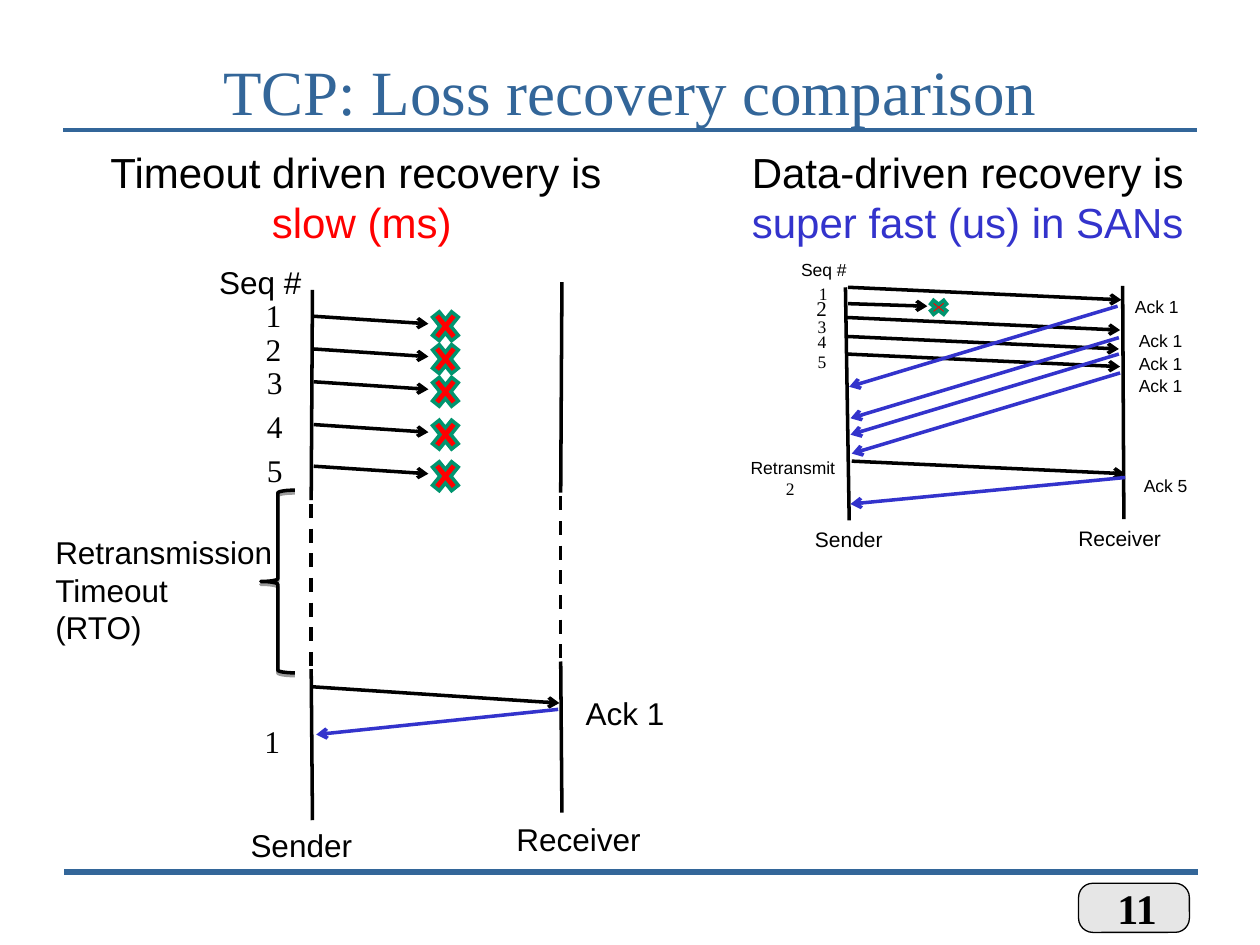
from dataclasses import dataclass
from typing import NamedTuple

from lxml import etree
from pptx import Presentation
from pptx.dml.color import RGBColor
from pptx.enum.dml import MSO_LINE
from pptx.enum.shapes import MSO_CONNECTOR, MSO_SHAPE
from pptx.enum.text import MSO_ANCHOR, MSO_AUTO_SIZE, PP_ALIGN
from pptx.oxml import parse_xml
from pptx.oxml.ns import nsdecls, qn
from pptx.util import Inches, Pt

STRAIGHT = MSO_CONNECTOR.STRAIGHT
DASH = MSO_LINE.DASH
CROSS = MSO_SHAPE.MATH_MULTIPLY
BRACE = MSO_SHAPE.LEFT_BRACE
ROUNDED = MSO_SHAPE.ROUNDED_RECTANGLE
LEFT, CENTER = PP_ALIGN.LEFT, PP_ALIGN.CENTER
MIDDLE = MSO_ANCHOR.MIDDLE
FIT_SHAPE, NO_FIT = MSO_AUTO_SIZE.SHAPE_TO_FIT_TEXT, MSO_AUTO_SIZE.NONE


@dataclass(frozen=True)
class Theme:
    sans: str = "Arial"
    serif: str = "Times New Roman"
    ink: str = "000000"
    accent: str = "336699"
    ack: str = "3333CC"
    loss: str = "FF0000"
    loss_edge: str = "00956F"
    badge: str = "E6E6E6"
    title: int = 36
    heading: int = 24
    label: int = 18
    mid: int = 12
    small: int = 10
    stroke: float = 2


THEME = Theme()


class Frame(NamedTuple):
    left: float
    top: float
    width: float
    height: float

    def lengths(self) -> list:
        return [Inches(value) for value in self]


class Line(NamedTuple):
    start: tuple
    end: tuple


class Words(NamedTuple):
    text: str
    color: str = THEME.ink
    font: str = THEME.sans
    indent: float = 0


class Label(NamedTuple):
    text: str
    frame: Frame
    size: int
    font: str = THEME.sans


def write(text_frame, paragraphs: list, *, size: int, align=LEFT, bold=False) -> None:
    for index, words in enumerate(paragraphs):
        paragraph = text_frame.paragraphs[0] if index == 0 else text_frame.add_paragraph()
        paragraph.alignment = align
        if words.indent:
            paragraph._p.get_or_add_pPr().set("marL", str(Inches(words.indent)))
        run = paragraph.add_run()
        run.text = words.text
        run.font.name = words.font
        run.font.size = Pt(size)
        run.font.bold = bold
        run.font.color.rgb = RGBColor.from_string(words.color)


def add_text(slide, frame: Frame, paragraphs: list, *, wrap=False, fit=FIT_SHAPE,
             insets=(0.1, 0), **style):
    text_frame = slide.shapes.add_textbox(*frame.lengths()).text_frame
    text_frame.word_wrap = wrap
    text_frame.auto_size = fit
    text_frame.margin_left, text_frame.margin_right = [Inches(inset) for inset in insets]
    write(text_frame, paragraphs, **style)
    return text_frame


def add_label(slide, label: Label) -> None:
    add_text(slide, label.frame, [Words(label.text, font=label.font)], size=label.size)


def add_line(slide, line: Line, *, color=THEME.ink, width=THEME.stroke, arrow=False, dash=None) -> None:
    ends = [Inches(value) for value in line.start + line.end]
    connector = slide.shapes.add_connector(STRAIGHT, *ends)
    connector.line.color.rgb = RGBColor.from_string(color)
    connector.line.width = Pt(width)
    if dash is not None:
        connector.line.dash_style = dash
    if arrow:
        etree.SubElement(connector.line._get_or_add_ln(), qn("a:tailEnd"), type="arrow")
    etree.SubElement(connector._element.spPr, qn("a:effectLst"))


def add_preset(slide, preset, frame: Frame, *, fill=None, edge=THEME.ink, width=THEME.stroke):
    shape = slide.shapes.add_shape(preset, *frame.lengths())
    shape.shadow.inherit = False
    if fill:
        shape.fill.solid()
        shape.fill.fore_color.rgb = RGBColor.from_string(fill)
    else:
        shape.fill.background()
    shape.line.color.rgb = RGBColor.from_string(edge)
    shape.line.width = Pt(width)
    return shape


def add_loss(slide, frame: Frame) -> None:
    cross = add_preset(slide, CROSS, frame, fill=THEME.loss, edge=THEME.loss_edge)
    etree.SubElement(cross.line._get_or_add_ln(), qn("a:miter"), lim="800000")


def add_timeout_brace(slide) -> None:
    brace = add_preset(slide, BRACE, Frame(2.07, 3.89, 0.27, 1.45))
    brace._element.spPr.find(qn("a:effectLst")).append(parse_xml(
        f'<a:outerShdw {nsdecls("a")} blurRad="0" dist="{Pt(1.6)}" dir="5400000" rotWithShape="0">'
        f'<a:srgbClr val="{THEME.ink}"><a:alpha val="38000"/></a:srgbClr></a:outerShdw>'))


def add_furniture(slide) -> None:
    add_line(slide, Line((0.5, 1.03), (9.5, 1.03)), color=THEME.accent)
    add_line(slide, Line((0.51, 6.92), (9.51, 6.92)), color=THEME.accent, width=3.5)
    badge = add_preset(slide, ROUNDED, Frame(8.56, 7.01, 0.88, 0.39), fill=THEME.badge, width=0.75)
    badge.adjustments[0] = 0.29
    number = add_text(slide, Frame(8.38, 7, 1.29, 0.38), [Words("11", font=THEME.serif)],
                      size=THEME.heading, align=CENTER, bold=True, wrap=True, fit=NO_FIT,
                      insets=(0.1, 0.1))
    number.paragraphs[0].line_spacing = 0.9

    title = slide.shapes.title
    title.left, title.top, title.width, title.height = Frame(0.75, 0.34, 8.5, 0.75).lengths()
    title.text_frame.vertical_anchor = MIDDLE
    title.text_frame.auto_size = NO_FIT
    write(title.text_frame, [Words("TCP: Loss recovery comparison", THEME.accent, THEME.serif)],
          size=THEME.title, align=CENTER)


def add_data_driven(slide) -> None:
    for timeline in (Line((6.71, 2.28), (6.74, 4.13)), Line((8.91, 2.27), (8.92, 4.12))):
        add_line(slide, timeline)
    for x, y in ((6.73, 2.28), (6.72, 2.52), (6.71, 2.67), (6.72, 2.81), (6.76, 3.66)):
        add_line(slide, Line((x, y), (x + 2.17, y + 0.1)), arrow=True)
    add_line(slide, Line((6.73, 2.41), (7.36, 2.43)), arrow=True)
    add_loss(slide, Frame(7.35, 2.36, 0.2, 0.16))
    for x, y in ((8.87, 2.43), (8.88, 2.68), (8.88, 2.81), (8.89, 2.96)):
        add_line(slide, Line((x, y), (x - 2.13, y + 0.64)), color=THEME.ack, arrow=True)
    add_line(slide, Line((8.93, 3.79), (6.75, 4)), color=THEME.ack, arrow=True)

    for text, x, y in (("1", 6.4, 2.2), ("3", 6.39, 2.46), ("4", 6.39, 2.58), ("5", 6.39, 2.74)):
        add_label(slide, Label(text, Frame(x, y, 0.27, 0.27), THEME.small, THEME.serif))
    for text, x, y in (("Ack 1", 8.91, 2.3), ("Ack 1", 8.94, 2.57), ("Ack 1", 8.94, 2.75),
                       ("Ack 1", 8.94, 2.93), ("Ack 5", 8.98, 3.72)):
        add_label(slide, Label(text, Frame(x, y, 0.54, 0.27), THEME.small))
    for label in (Label("2", Frame(6.38, 2.3, 0.28, 0.3), THEME.mid, THEME.serif),
                  Label("Seq #", Frame(6.26, 2.01, 0.56, 0.27), THEME.small),
                  Label("Sender", Frame(6.37, 4.13, 0.74, 0.3), THEME.mid),
                  Label("Receiver", Frame(8.46, 4.12, 0.86, 0.3), THEME.mid)):
        add_label(slide, label)
    add_text(slide, Frame(5.86, 3.58, 0.87, 0.44),
             [Words("Retransmit"), Words("2", font=THEME.serif, indent=0.28)], size=THEME.small)


def add_timeout_driven(slide) -> None:
    for x, top in ((2.47, 2.3), (4.45, 2.24)):
        add_line(slide, Line((x + 0.01, top), (x, top + 1.67)))
        add_line(slide, Line((x, top + 1.7), (x, top + 2.99)), dash=DASH)
        add_line(slide, Line((x, top + 3.01), (x + 0.01, top + 4.21)))
    for y in (2.51, 2.77, 3.03, 3.37, 3.7):
        add_line(slide, Line((2.49, y), (3.4, y + 0.06)), arrow=True)
        add_loss(slide, Frame(3.39, y - 0.1, 0.29, 0.36))
    add_line(slide, Line((2.47, 5.45), (4.44, 5.58)), arrow=True)
    add_line(slide, Line((4.43, 5.63), (2.51, 5.83)), color=THEME.ack, arrow=True)
    add_timeout_brace(slide)

    for text, x, y in (("1", 2.01, 2.3), ("2", 2.01, 2.57), ("3", 2.02, 2.83),
                       ("4", 2.02, 3.18), ("5", 2.02, 3.53), ("1", 2, 5.68)):
        add_label(slide, Label(text, Frame(x, y, 0.32, 0.4), THEME.label, THEME.serif))
    for text, x, y, width in (("Seq #", 1.64, 2.04, 0.85), ("Ack 1", 4.55, 5.46, 0.82),
                              ("Sender", 1.89, 6.51, 1), ("Receiver", 4, 6.46, 1.18)):
        add_label(slide, Label(text, Frame(x, y, width, 0.4), THEME.label))
    add_text(slide, Frame(0.34, 4.18, 1.92, 1),
             [Words("Retransmission"), Words("Timeout"), Words("(RTO)")], size=THEME.label)


def main() -> None:
    deck = Presentation()
    deck.slide_width, deck.slide_height = Inches(10), Inches(7.5)
    slide = deck.slides.add_slide(deck.slide_layouts[5])
    add_furniture(slide)
    add_data_driven(slide)
    add_timeout_driven(slide)
    headings = (
        (Frame(0.77, 1.11, 4.11, 0.9),
         [Words("Timeout driven recovery is"), Words("slow (ms)", THEME.loss, indent=0.09)]),
        (Frame(5.87, 1.11, 3.62, 0.9),
         [Words("Data-driven recovery is"), Words("super fast (us) in SANs", THEME.ack)]),
    )
    for frame, paragraphs in headings:
        add_text(slide, frame, paragraphs, size=THEME.heading, align=CENTER, wrap=True,
                 insets=(0.05, 0.05))
    deck.save("out.pptx")


if __name__ == "__main__":
    main()
